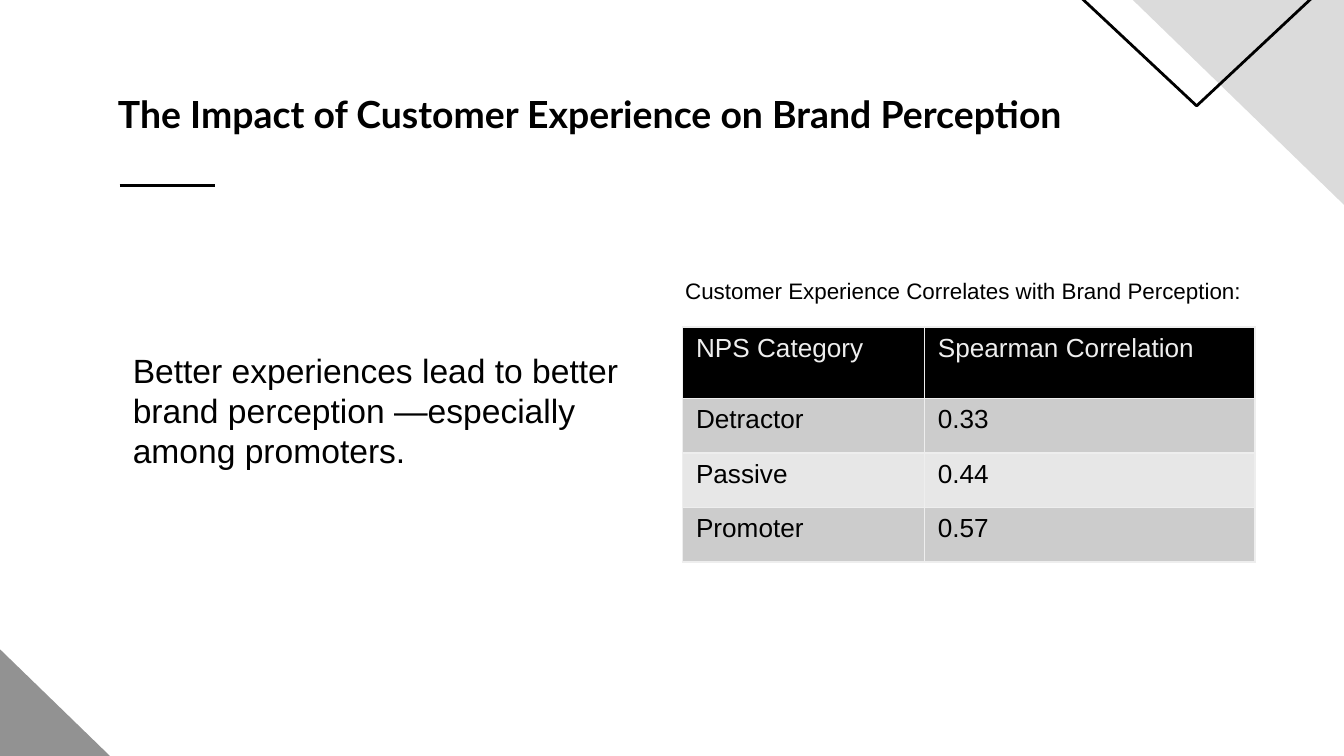
from lxml import etree
from pptx import Presentation
from pptx.dml.color import RGBColor
from pptx.enum.shapes import MSO_CONNECTOR, MSO_SHAPE
from pptx.oxml.ns import qn
from pptx.util import Cm, Pt

RIGHT_TRIANGLE = MSO_SHAPE.RIGHT_TRIANGLE
TRIANGLE = MSO_SHAPE.ISOSCELES_TRIANGLE
STRAIGHT = MSO_CONNECTOR.STRAIGHT

# Content
TITLE = "The Impact of Customer Experience on Brand Perception"
TAKEAWAY = "Better experiences lead to better brand perception —especially among promoters."
CAPTION = "Customer Experience Correlates with Brand Perception:"
CORRELATIONS = [
    ("NPS Category", "Spearman Correlation"),
    ("Detractor", "0.33"),
    ("Passive", "0.44"),
    ("Promoter", "0.57"),
]

COLORS = {
    "ink": "000000",
    "corner_dark": "929292",
    "corner_light": "DBDBDB",
    "border": "EEEEEE",
    "band_dark": "CCCCCC",
    "band_light": "E7E7E7",
}

# Corner decoration: preset, left, top, width, height (cm), rotation, fill
CORNERS = [
    (RIGHT_TRIANGLE, -4.93, 7.49, 9.45, 9.17, 0, "corner_dark"),
    (RIGHT_TRIANGLE, 18.03, -3.28, 9.45, 9.17, 180, "corner_light"),
    (TRIANGLE, 15.16, -4.98, 14.91, 6.98, 180, None),
]

# Text boxes: text, left, top, width, height, inset (cm), font, size, bold
TEXTS = [
    (TITLE, 1.98, 1.47, 20.45, 1.47, 0.25, "Lato", 20, True),
    (TAKEAWAY, 2.26, 6.48, 9.93, 2.57, 0.13, "Arial", 18, False),
    (CAPTION, 12.7, 5.11, 12.27, 0.76, 0.13, "Arial", 12, False),
]

COLUMN_WIDTHS = [4.57, 6.25]
HEADER_HEIGHT, BODY_HEIGHT = 1.35, 1.03


def rgb(name):
    return RGBColor.from_string(COLORS[name])


def style_runs(paragraph, font, size, color, bold=False):
    for run in paragraph.runs:
        run.font.name = font
        run.font.size = Pt(size)
        run.font.bold = bold
        run.font.color.rgb = rgb(color)


def add_borders(cell, color, width):
    properties = cell._tc.get_or_add_tcPr()
    for position, side in enumerate(("lnL", "lnR", "lnT", "lnB")):
        line = etree.Element(qn(f"a:{side}"), w=str(Pt(width)))
        fill = etree.SubElement(line, qn("a:solidFill"))
        etree.SubElement(fill, qn("a:srgbClr"), val=COLORS[color])
        properties.insert(position, line)


def add_corners(slide):
    for preset, left, top, width, height, rotation, fill in CORNERS:
        corner = slide.shapes.add_shape(preset, Cm(left), Cm(top), Cm(width), Cm(height))
        corner.rotation = rotation
        corner.shadow.inherit = False
        if fill:
            corner.fill.solid()
            corner.fill.fore_color.rgb = rgb(fill)
            corner.line.fill.background()
        else:
            corner.fill.background()
            corner.line.color.rgb = rgb("ink")
            corner.line.width = Pt(1.5)


def add_texts(slide):
    for text, left, top, width, height, inset, font, size, bold in TEXTS:
        box = slide.shapes.add_textbox(Cm(left), Cm(top), Cm(width), Cm(height))
        frame = box.text_frame
        frame.word_wrap = True
        frame.margin_left = frame.margin_right = Cm(0.25)
        frame.margin_top = frame.margin_bottom = Cm(inset)
        frame.text = text
        style_runs(frame.paragraphs[0], font, size, "ink", bold)


def add_title_rule(slide):
    rule = slide.shapes.add_connector(STRAIGHT, Cm(2.26), Cm(3.5), Cm(4.06), Cm(3.5))
    rule.line.color.rgb = rgb("ink")
    rule.line.width = Pt(1.5)
    etree.SubElement(rule._element.spPr, qn("a:effectLst"))


def add_correlation_table(slide):
    heights = [HEADER_HEIGHT] + [BODY_HEIGHT] * (len(CORRELATIONS) - 1)
    table = slide.shapes.add_table(
        len(CORRELATIONS), len(COLUMN_WIDTHS),
        Cm(12.9), Cm(6.18), Cm(sum(COLUMN_WIDTHS)), Cm(sum(heights)),
    ).table
    for column, width in zip(table.columns, COLUMN_WIDTHS):
        column.width = Cm(width)
    for index, (row, height, values) in enumerate(zip(table.rows, heights, CORRELATIONS)):
        row.height = Cm(height)
        if index == 0:
            fill, color = "ink", "border"
        else:
            fill, color = ("band_dark" if index % 2 else "band_light"), "ink"
        for cell, value in zip(row.cells, values):
            cell.text = value
            cell.fill.solid()
            cell.fill.fore_color.rgb = rgb(fill)
            style_runs(cell.text_frame.paragraphs[0], "Arial", 14, color)
            add_borders(cell, "border", 1)


def main():
    deck = Presentation()
    deck.slide_width, deck.slide_height = Cm(25.4), Cm(14.29)
    slide = deck.slides.add_slide(deck.slide_layouts[6])
    add_corners(slide)
    add_title_rule(slide)
    add_correlation_table(slide)
    add_texts(slide)
    deck.save("out.pptx")


if __name__ == "__main__":
    main()
